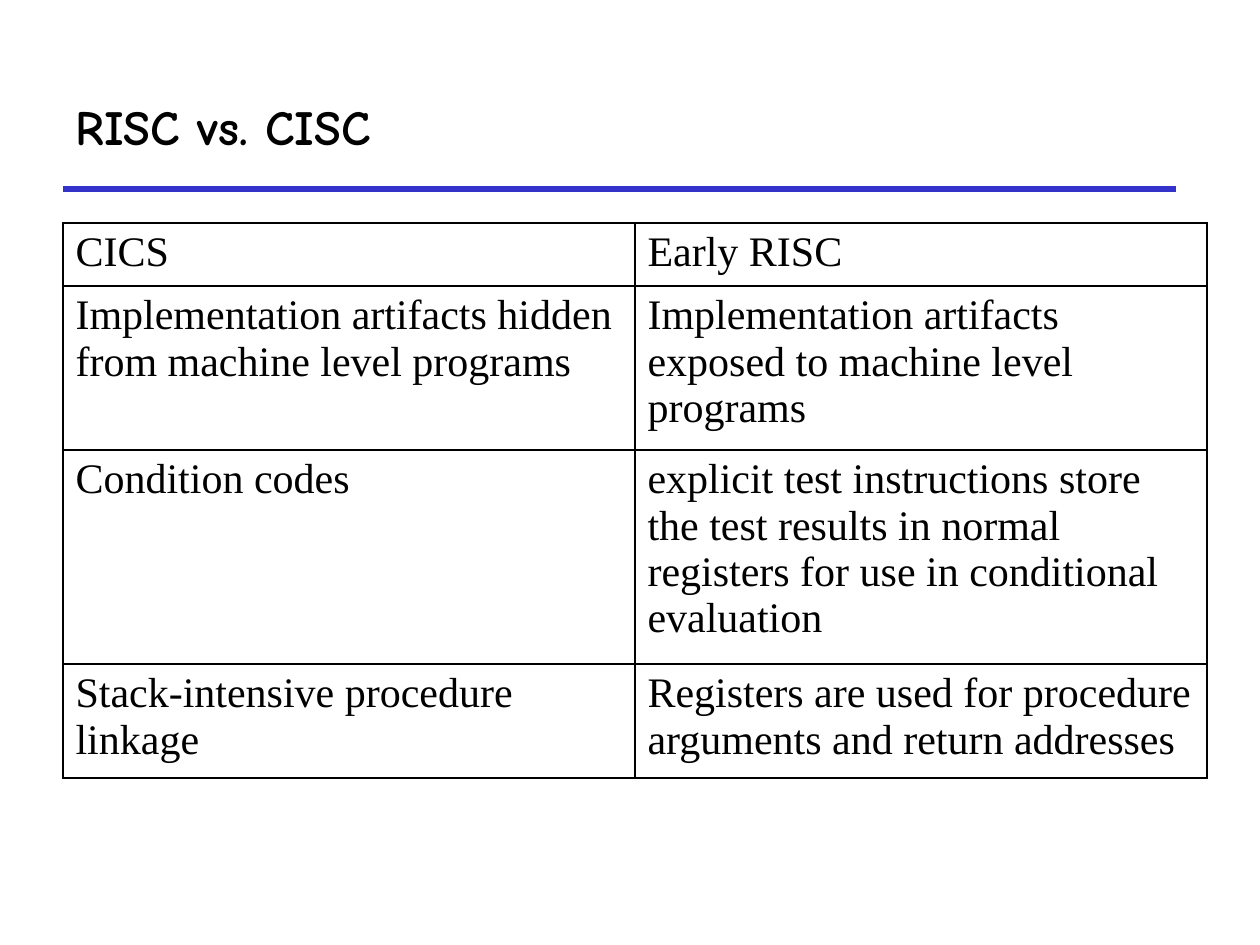
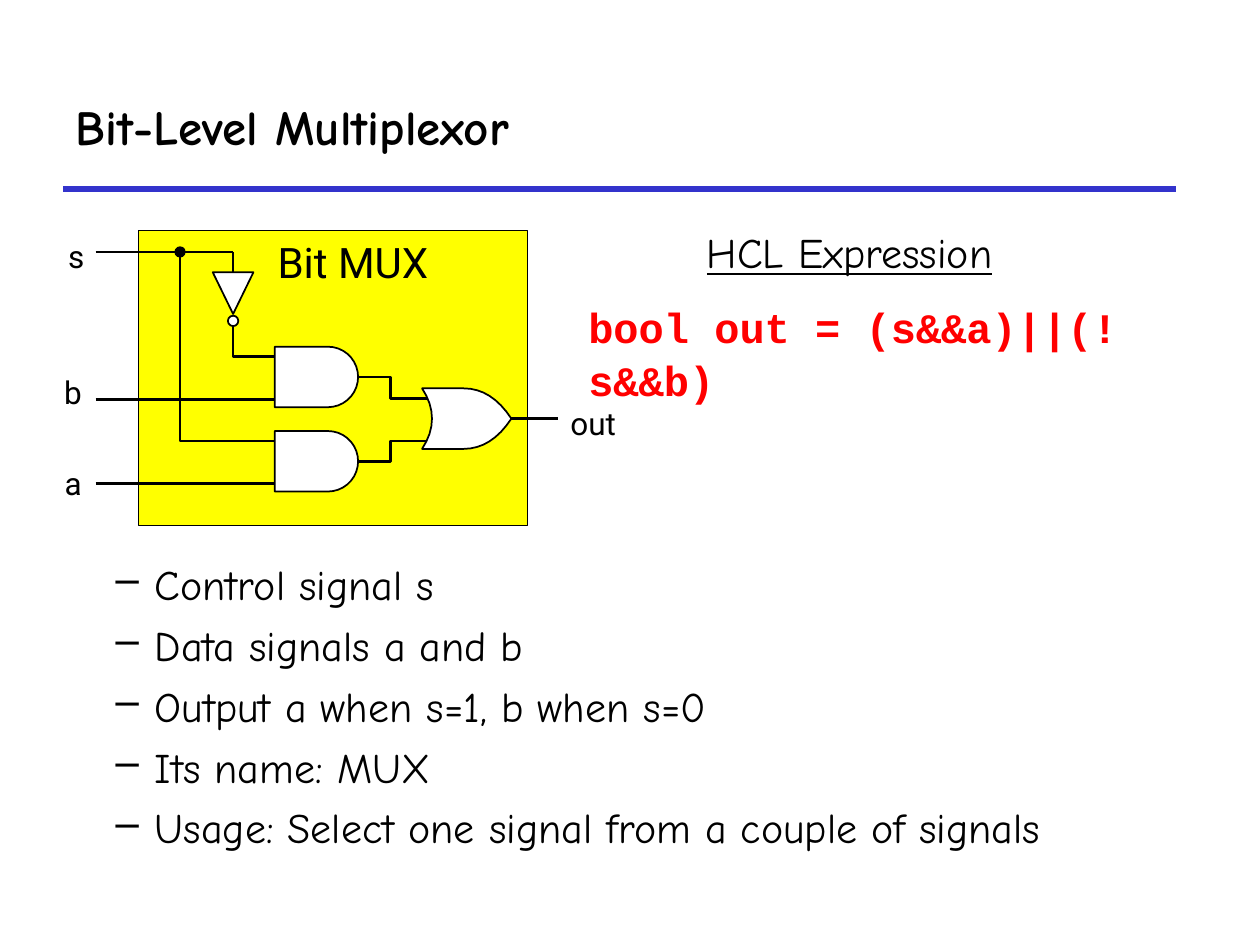
import math
from dataclasses import dataclass

import lxml.etree
import pptx
import pptx.dml.color
import pptx.enum.shapes
import pptx.enum.text
import pptx.oxml.ns
import pptx.util

Cm = pptx.util.Cm
Pt = pptx.util.Pt
RGB = pptx.dml.color.RGBColor.from_string
qn = pptx.oxml.ns.qn
Align = pptx.enum.text.PP_ALIGN
Kind = pptx.enum.shapes.MSO_SHAPE


@dataclass(frozen=True)
class Theme:
    ink: str = "000000"
    paper: str = "FFFFFF"
    rule: str = "3333CC"
    chip: str = "FFFF00"
    code: str = "FF0000"
    hand: str = "Comic Neue"
    serif: str = "Times New Roman"
    sans: str = "Roboto"
    mono: str = "Courier New"
    title: int = 28
    body: int = 24
    label: int = 18


THEME = Theme()
ROWS = [
    ("CICS", "Early RISC"),
    ("Implementation artifacts hidden from machine level programs",
     "Implementation artifacts exposed to machine level programs"),
    ("Condition codes",
     "explicit test instructions store the test results in normal registers "
     "for use in conditional evaluation"),
    ("Stack-intensive procedure linkage",
     "Registers are used for procedure arguments and return addresses"),
]
POINTS = [
    "Control signal s",
    "Data signals a and b",
    "Output a when s=1, b when s=0",
    "Its name: MUX",
    "Usage: Select one signal from a couple of signals",
]


def write(para, text, face, size, color=THEME.ink, bold=False, under=False):
    run = para.add_run()
    run.text = text
    font = run.font
    font.name, font.size = face, Pt(size)
    font.bold, font.underline = bold, under
    font.color.rgb = RGB(color)


def frame(shapes, box, pad=None, wrap=True):
    text = shapes.add_textbox(*map(Cm, box)).text_frame
    text.word_wrap = wrap
    if pad is not None:
        text.margin_left = text.margin_right = Cm(pad)
    return text


def paint(shape, fill, width):
    shape.shadow.inherit = False
    if fill:
        shape.fill.solid()
        shape.fill.fore_color.rgb = RGB(fill)
    else:
        shape.fill.background()
    shape.line.color.rgb = RGB(THEME.ink)
    shape.line.width = Pt(width)


def line(shapes, start, end, color=THEME.ink, width=1.5):
    link = shapes.add_connector(
        pptx.enum.shapes.MSO_CONNECTOR.STRAIGHT, *map(Cm, (*start, *end)))
    link.line.color.rgb = RGB(color)
    link.line.width = Pt(width)
    lxml.etree.SubElement(link.element.spPr, qn("a:effectLst"))


def trace(shapes, points, fill=None, width=1.5):
    spots = [(Cm(x), Cm(y)) for x, y in points]
    pen = shapes.build_freeform(*spots[0])
    pen.add_line_segments(spots[1:], close=bool(fill))
    paint(pen.convert_to_shape(), fill, width)


def curve(start, pull, end, steps=8):
    return [tuple((1 - t) ** 2 * a + 2 * t * (1 - t) * b + t * t * c
                  for a, b, c in zip(start, pull, end))
            for t in (i / steps for i in range(steps + 1))]


def and_gate(shapes, left, top, high):
    half = high / 2
    turns = [math.radians(a) for a in range(-90, 91, 10)]
    arc = [(left + 1.07 + half * math.cos(a), top + half + half * math.sin(a))
           for a in turns]
    trace(shapes, [(left, top), *arc, (left, top + high)], THEME.paper, 1)


def or_gate(shapes, left, top, high):
    half = high / 2
    upper = curve((0.84, 0), (1.4, 0), (1.8, half))
    lower = curve((1.8, half), (1.4, high), (0.84, high))
    back = curve((0, high), (0.4, half), (0, 0))
    trace(shapes, [(left + x, top + y) for x, y in upper + lower + back],
          THEME.paper, 1)


def dot(shapes, x, y, size, fill, width):
    box = x - size / 2, y - size / 2, size, size
    paint(shapes.add_shape(Kind.OVAL, *map(Cm, box)), fill, width)


def head(deck, text):
    slide = deck.slides.add_slide(deck.slide_layouts[5])
    line(slide.shapes, (1.27, 3.81), (23.7, 3.81), THEME.rule, 3)
    title = slide.shapes.title
    title.left, title.top = Cm(1.27), Cm(1.27)
    title.width, title.height = Cm(22.43), Cm(2.54)
    body = title.text_frame
    body.auto_size = pptx.enum.text.MSO_AUTO_SIZE.NONE
    body.vertical_anchor = pptx.enum.text.MSO_ANCHOR.MIDDLE
    para = body.paragraphs[0]
    para.alignment = Align.LEFT
    write(para, text, THEME.hand, THEME.title, bold=True)
    return slide


def edge(cell):
    props = cell._tc.get_or_add_tcPr()
    for side in ("lnL", "lnR", "lnT", "lnB"):
        rim = lxml.etree.SubElement(props, qn("a:" + side), w=str(Pt(1)))
        fill = lxml.etree.SubElement(rim, qn("a:solidFill"))
        lxml.etree.SubElement(fill, qn("a:srgbClr"), val=THEME.ink)


def grid(slide, box, highs):
    table = slide.shapes.add_table(len(ROWS), 2, *map(Cm, box)).table
    table.first_row = table.horz_banding = False
    for row, high, texts in zip(table.rows, highs, ROWS):
        row.height = Cm(high)
        for cell, text in zip(row.cells, texts):
            edge(cell)
            cell.fill.solid()
            cell.fill.fore_color.rgb = RGB(THEME.paper)
            write(cell.text_frame.paragraphs[0], text, THEME.serif, THEME.body)


def mux(slide, left, top):
    shapes = slide.shapes.add_group_shape().shapes

    def at(x, y):
        return left + x, top + y

    def wire(*points):
        spots = [at(*point) for point in points]
        if len(spots) == 2:
            line(shapes, *spots)
        else:
            trace(shapes, spots)

    high, pin_a, pin_b = 1.22, 0.2, 1.06
    gate, join, bend = 4.55, 7.52, 6.88
    rows = 2.34, 4.04
    merge = 3.18
    start, tap, drop, feed = 0.94, 2.64, 3.71, 0.43

    chip = shapes.add_shape(Kind.RECTANGLE, *map(Cm, (*at(1.8, 0), 7.85, 5.94)))
    paint(chip, THEME.chip, 0.75)
    name = chip.text_frame
    name.margin_left = Cm(1.05)
    name.vertical_anchor = pptx.enum.text.MSO_ANCHOR.TOP
    name.paragraphs[0].alignment = Align.CENTER
    write(name.paragraphs[0], "Bit MUX", THEME.sans, THEME.body)

    wire((start, feed), (drop, feed))
    wire((drop, feed), (drop, 0.84))
    wire((drop, 1.92), (drop, rows[0] + pin_a), (gate, rows[0] + pin_a))
    wire((tap, feed), (tap, rows[1] + pin_a), (gate, rows[1] + pin_a))
    for row, pin in zip(rows, (pin_a, pin_b)):
        wire((start, row + pin_b), (gate, row + pin_b))
        out = row + high / 2
        wire((6.23, out), (bend, out), (bend, merge + pin), (7.72, merge + pin))
        and_gate(shapes, *at(gate, row), high)
    wire((9.17, merge + high / 2), (10.26, merge + high / 2))
    or_gate(shapes, *at(join, merge), high)
    cone = (drop - 0.41, 0.84), (drop + 0.41, 0.84), (drop, 1.68)
    trace(shapes, [at(*point) for point in cone], THEME.paper, 1)
    dot(shapes, *at(drop, 1.82), 0.21, THEME.paper, 1)
    dot(shapes, *at(tap, feed), 0.2, THEME.ink, 0.75)

    for text, x, y, wide, align in (
            ("s", 0.06, 0, 0.9, Align.RIGHT),
            ("b", 0, 2.74, 0.91, Align.RIGHT),
            ("a", 0, 4.57, 0.91, Align.RIGHT),
            ("out", 10.26, 3.38, 1.68, Align.LEFT)):
        para = frame(shapes, (*at(x, y), wide, 1.04), wrap=False).paragraphs[0]
        para.alignment = align
        write(para, text, THEME.sans, THEME.label)


def logic(slide, left, top):
    code = frame(slide.shapes, (left, top + 1.45, 13.46, 1.3), 0.13)
    code.margin_right = Cm(1.5)
    para = code.paragraphs[0]
    para.line_spacing = 1.05
    write(para, "bool out = (s&&a)||(!s&&b)", THEME.mono, THEME.body,
          THEME.code, bold=True)
    note = frame(slide.shapes, (left + 2.39, top, 6.5, 1.3), 0.13, False)
    write(note.paragraphs[0], "HCL Expression", THEME.hand, THEME.body,
          under=True)


def notes(slide, box):
    text = frame(slide.shapes, box)
    for i, point in enumerate(POINTS):
        para = text.add_paragraph() if i else text.paragraphs[0]
        para.space_before = Pt(6)
        props = para._p.get_or_add_pPr()
        props.set("marL", str(Cm(2.06)))
        props.set("indent", str(Cm(-0.79)))
        lxml.etree.SubElement(props, qn("a:buChar"), char="–")
        write(para, point, THEME.hand, THEME.body)


def main():
    deck = pptx.Presentation()
    deck.slide_width, deck.slide_height = Cm(25.4), Cm(19.05)
    grid(head(deck, "RISC vs. CISC"), (1.27, 4.5, 23.06, 11.18),
         (1.27, 3.3, 4.32, 2.29))
    slide = head(deck, "Bit-Level Multiplexor")
    notes(slide, (0.81, 11.13, 23.06, 5.82))
    mux(slide, 0.99, 4.65)
    logic(slide, 11.73, 4.45)
    deck.save("out.pptx")


if __name__ == "__main__":
    main()
